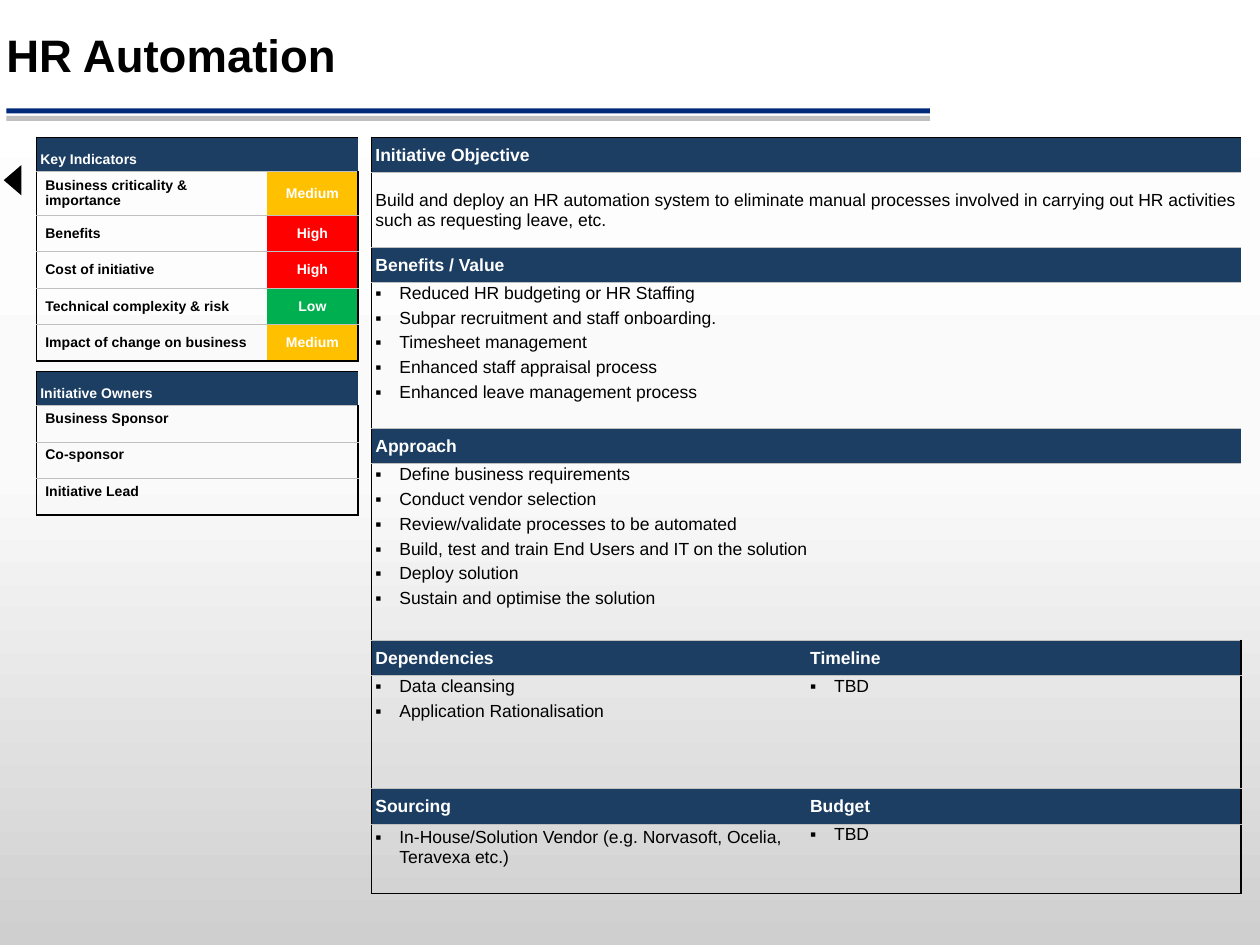
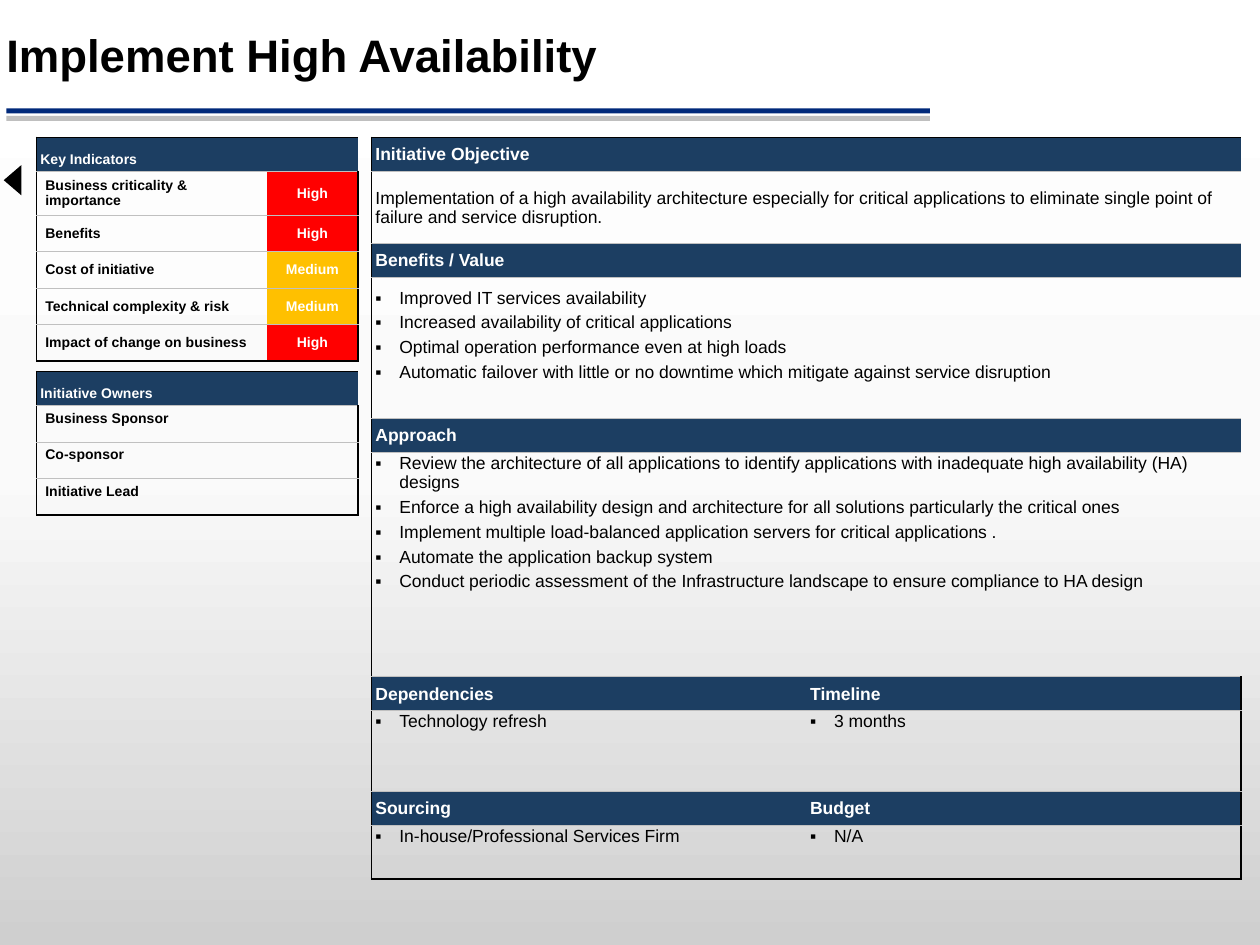
from lxml import etree
from pptx import Presentation
from pptx.dml.color import RGBColor
from pptx.enum.shapes import MSO_SHAPE
from pptx.enum.text import MSO_ANCHOR, PP_ALIGN
from pptx.oxml.ns import qn
from pptx.util import Inches, Pt

RECT, ARROW = MSO_SHAPE.RECTANGLE, MSO_SHAPE.ISOSCELES_TRIANGLE
TOP, MID, LOW = MSO_ANCHOR.TOP, MSO_ANCHOR.MIDDLE, MSO_ANCHOR.BOTTOM
LEFT, CENTER = PP_ALIGN.LEFT, PP_ALIGN.CENTER

FONT = "Arial"
BLACK, WHITE, NAVY = "000000", "FFFFFF", "1C3E62"
GRID = "C0C0C0"
BACK = [(0, "CFCFCF"), (50, "FAFAFA"), (100, "FFFFFF")]
BANDS = [(0.92, "BFBFBF"), (0.86, "00297A")]
RATES = {"High": "FF0000", "Medium": "FFC000", "Low": "00B050"}
THIN = (0.03, 0.01, 0.01, 0)
EVEN = (0.03, 0.03, 0.03, 0.03)
WIDE = (0.07, 0.04, 0.07, 0.04)

MARKS = ["Business criticality & importance", "Benefits", "Cost of initiative",
         "Technical complexity & risk", "Impact of change on business"]
OWNERS = ["Business Sponsor", "Co-sponsor", "Initiative Lead"]
HEADS = [["Initiative Objective"], ["Benefits / Value"], ["Approach"],
         ["Dependencies", "Timeline"], ["Sourcing", "Budget"]]

PLANS = [
    {
        "title": "HR Automation",
        "rates": ["Medium", "High", "High", "Low", "Medium"],
        "goal": "Build and deploy an HR automation system to eliminate manual "
                "processes involved in carrying out HR activities such as "
                "requesting leave, etc.",
        "lists": [
            [["Reduced HR budgeting or HR Staffing",
              "Subpar recruitment and staff onboarding.",
              "Timesheet management",
              "Enhanced staff appraisal process",
              "Enhanced leave management process"]],
            [["Define business requirements",
              "Conduct vendor selection",
              "Review/validate processes to be automated",
              "Build, test and train End Users and IT on the solution",
              "Deploy solution",
              "Sustain and optimise the solution"]],
            [["Data cleansing", "Application Rationalisation"], ["TBD"]],
            [["In-House/Solution Vendor (e.g. Norvasoft, Ocelia, "
              "Teravexa etc.)"], ["TBD"]],
        ],
        "head": 0.28,
        "rows": [0.59, 1.16, 1.4, 0.9, 0.55],
        "pads": {(4, 0): 0.03},
    },
    {
        "title": "Implement High Availability",
        "rates": ["High", "High", "Medium", "Medium", "High"],
        "goal": "Implementation of a high availability architecture especially "
                "for critical applications to eliminate single point of failure "
                "and service disruption.",
        "lists": [
            [["Improved IT services availability",
              "Increased availability of critical applications",
              "Optimal operation performance even at high loads",
              "Automatic failover with little or no downtime which mitigate "
              "against service disruption"]],
            [["Review the architecture of all applications to identify "
              "applications with inadequate high availability (HA) designs",
              "Enforce a high availability design and architecture for all "
              "solutions particularly the critical ones",
              "Implement multiple load-balanced application servers for "
              "critical applications .",
              "Automate the application backup system",
              "Conduct periodic assessment of the Infrastructure landscape to "
              "ensure compliance to HA design"]],
            [["Technology refresh"], ["3 months"]],
            [["In-house/Professional Services Firm"], ["N/A"]],
        ],
        "head": 0.27,
        "rows": [0.57, 1.12, 1.78, 0.64, 0.43],
        "pads": {(1, 0): 0.09},
    },
]


def tint(code):
    return RGBColor.from_string(code)


def style(para, size, color, bold):
    font = para.font
    font.name, font.size, font.bold = FONT, Pt(size), bold
    font.color.rgb = tint(color)


def bullet(para):
    props = para._p.get_or_add_pPr()
    props.set("marL", str(Inches(0.19)))
    props.set("indent", str(-Inches(0.19)))
    para.space_after = Pt(3)
    etree.SubElement(props, qn("a:buFont"), typeface=FONT)
    etree.SubElement(props, qn("a:buChar"), char="▪")


def write(cell, lines, size, color, bold=False, pads=THIN, anchor=MID,
          align=LEFT, marks=False):
    (cell.margin_left, cell.margin_top,
     cell.margin_right, cell.margin_bottom) = map(Inches, pads)
    cell.vertical_anchor = anchor
    frame = cell.text_frame
    for i, line in enumerate(lines):
        para = frame.add_paragraph() if i else frame.paragraphs[0]
        para.alignment = align
        if marks:
            bullet(para)
        if line:
            para.text = line
        else:
            etree.SubElement(para._p, qn("a:endParaRPr"), sz=str(size * 100))
        style(para, size, color, bold)


def border(cell, sides):
    props = cell._tc.get_or_add_tcPr()
    for i, (tag, edge) in enumerate(sides):
        line = etree.Element(qn("a:" + tag))
        props.insert(i, line)
        if edge:
            color, width = edge
            line.set("w", str(Pt(width)))
            fill = etree.SubElement(line, qn("a:solidFill"))
            etree.SubElement(fill, qn("a:srgbClr"), val=color)
        else:
            etree.SubElement(line, qn("a:noFill"))


def grid(slide, left, top, cols, rows):
    table = slide.shapes.add_table(
        len(rows), len(cols), Inches(left), Inches(top),
        Inches(sum(cols)), Inches(sum(rows))).table
    table.first_row = table.horz_banding = False
    for col, width in zip(table.columns, cols):
        col.width = Inches(width)
    for row, height in zip(table.rows, rows):
        row.height = Inches(height)
    rim, rule = (BLACK, 1), (GRID, 0.5)
    for r in range(len(rows)):
        for c in range(len(cols)):
            cell = table.cell(r, c)
            cell.fill.background()
            border(cell, [
                ("lnL", None if c else rim),
                ("lnR", rim if c == len(cols) - 1 else None),
                ("lnT", rule if r else rim),
                ("lnB", rim if r == len(rows) - 1 else rule)])
    return table


def paint(cell, color):
    cell.fill.solid()
    cell.fill.fore_color.rgb = tint(color)


def span(table, row):
    table.cell(row, 0).merge(table.cell(row, 1))


def panel(slide, top, cols, rows, head):
    table = grid(slide, 0.29, top, cols, rows)
    span(table, 0)
    paint(table.cell(0, 0), NAVY)
    write(table.cell(0, 0), [head], 8, WHITE, True, EVEN, LOW)
    return table


def rate(slide, rates):
    table = panel(slide, 1.09, [1.83, 0.72], [0.27, 0.34] + [0.29] * 4,
                  "Key Indicators")
    for r, (mark, level) in enumerate(zip(MARKS, rates), 1):
        write(table.cell(r, 0), [mark], 8, BLACK, True, WIDE)
        paint(table.cell(r, 1), RATES[level])
        write(table.cell(r, 1), [level], 8, WHITE, True, WIDE, align=CENTER)


def own(slide):
    table = panel(slide, 2.95, [1.14, 1.41], [0.27] + [0.29] * 3,
                  "Initiative Owners")
    for r, owner in enumerate(OWNERS, 1):
        for c, text in enumerate([owner, ""]):
            write(table.cell(r, c), [text], 8, BLACK, True, WIDE, TOP)


def detail(slide, plan):
    rows = [size for body in plan["rows"] for size in (plan["head"], body)]
    table = grid(slide, 2.95, 1.09, [3.45, 3.45], rows)
    bodies = [[[plan["goal"]]]] + plan["lists"]
    for i, (heads, body) in enumerate(zip(HEADS, bodies)):
        if len(heads) == 1:
            span(table, 2 * i)
            span(table, 2 * i + 1)
        for c, (head, lines) in enumerate(zip(heads, body)):
            cell = table.cell(2 * i, c)
            paint(cell, NAVY)
            write(cell, [head], 10, WHITE, True)
            pad = plan["pads"].get((i, c), 0.01)
            write(table.cell(2 * i + 1, c), lines, 10, BLACK,
                  pads=(0.03, pad, 0.01, 0), anchor=TOP if i else MID,
                  marks=i > 0)


def shape(slide, kind, box, color):
    item = slide.shapes.add_shape(kind, *map(Inches, box))
    item.shadow.inherit = False
    item.fill.solid()
    item.fill.fore_color.rgb = tint(color)
    item.line.fill.background()
    return item


def name(slide, text):
    box = slide.shapes.add_textbox(*map(Inches, (0, 0.21, 7.77, 0.49)))
    frame = box.text_frame
    frame.word_wrap = True
    frame.vertical_anchor = MID
    frame.margin_left = frame.margin_right = Inches(0.05)
    para = frame.paragraphs[0]
    para.text = text
    para.line_spacing = 0.9
    style(para, 26, BLACK, True)


def shade(master):
    fill = master.background.fill
    fill.gradient()
    fill.gradient_angle = 90
    stops = master.element.find(".//" + qn("p:bg")).find(".//" + qn("a:gsLst"))
    for stop in list(stops):
        stops.remove(stop)
    for place, color in BACK:
        stop = etree.SubElement(stops, qn("a:gs"), pos=str(place * 1000))
        etree.SubElement(stop, qn("a:srgbClr"), val=color)


def main():
    deck = Presentation()
    deck.slide_width, deck.slide_height = Inches(10), Inches(7.5)
    shade(deck.slide_master)
    for plan in PLANS:
        slide = deck.slides.add_slide(deck.slide_layouts[6])
        for top, color in BANDS:
            shape(slide, RECT, (0.05, top, 7.33, 0.04), color)
        name(slide, plan["title"])
        rate(slide, plan["rates"])
        shape(slide, ARROW, (-0.02, 1.36, 0.24, 0.14), BLACK).rotation = 270
        own(slide)
        detail(slide, plan)
    deck.save("out.pptx")


if __name__ == "__main__":
    main()
